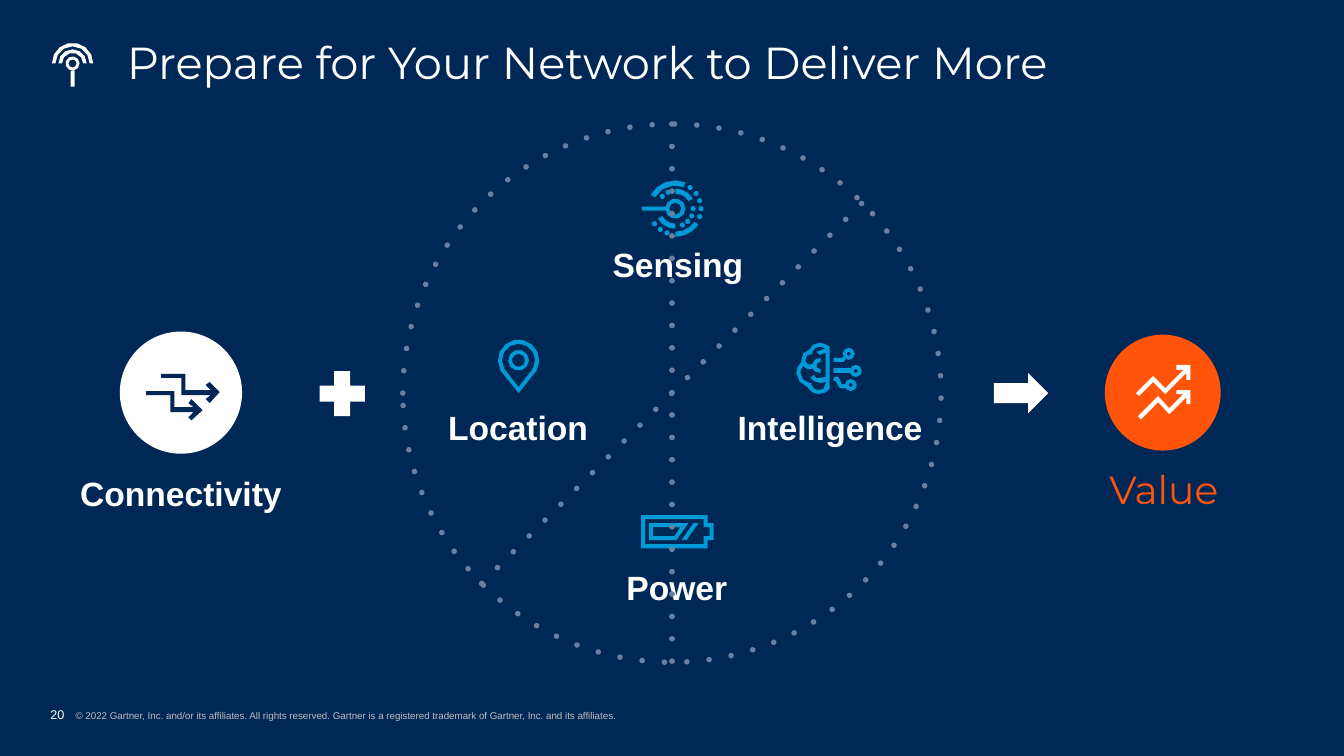
from dataclasses import dataclass
from math import cos, radians, sin

from lxml import etree
from pptx import Presentation
from pptx.dml.color import RGBColor
from pptx.enum.shapes import MSO_CONNECTOR, MSO_SHAPE
from pptx.enum.text import MSO_ANCHOR, PP_ALIGN
from pptx.oxml.ns import qn
from pptx.util import Inches, Pt

OVAL, PLUS, ARROW = MSO_SHAPE.OVAL, MSO_SHAPE.MATH_PLUS, MSO_SHAPE.RIGHT_ARROW
STRAIGHT = MSO_CONNECTOR.STRAIGHT
LEFT, CENTER = PP_ALIGN.LEFT, PP_ALIGN.CENTER
TOP, MIDDLE, BOTTOM = MSO_ANCHOR.TOP, MSO_ANCHOR.MIDDLE, MSO_ANCHOR.BOTTOM

# Grid: one cell is a tenth of an inch; icons use a tenth of a cell
CELL = Inches(0.1)
COLUMNS, ROWS = 133.33, 75


@dataclass(frozen=True)
class Theme:
    navy: str = "002856"
    white: str = "FFFFFF"
    blue: str = "009AD7"
    orange: str = "FF540A"
    dots: str = "6A80A3"
    grey: str = "BDBDBD"
    heading: str = "Montserrat"
    body: str = "Arial"
    title_size: float = 32
    value_size: float = 28
    label_size: float = 24
    number_size: float = 9
    legal_size: float = 7
    dot_width: float = 4
    rim_width: float = 4.5


THEME = Theme()


def cells(count):
    return round(count * CELL)


def rgb(colour):
    return RGBColor.from_string(colour)


# Text
def add_run(paragraph, text, size, colour, font=THEME.body, bold=False):
    run = paragraph.add_run()
    run.text = text
    run.font.size, run.font.name, run.font.bold = Pt(size), font, bold
    run.font.color.rgb = rgb(colour)


def prepare(frame, anchor, align, inset=0, wrap=True):
    frame.word_wrap, frame.vertical_anchor = wrap, anchor
    frame.margin_left = frame.margin_right = 0
    frame.margin_top = frame.margin_bottom = cells(inset)
    paragraph = frame.paragraphs[0]
    paragraph.alignment = align
    return paragraph


def add_label(slide, box, text, size=THEME.label_size, colour=THEME.white,
              font=THEME.body, bold=True):
    label = slide.shapes.add_textbox(*map(cells, box))
    paragraph = prepare(label.text_frame, TOP, CENTER, 0.5, False)
    add_run(paragraph, text, size, colour, font, bold)


def add_title(slide, text):
    title = slide.shapes.title
    title.left, title.top, title.width, title.height = map(cells, (12.6, 4, 115.7, 4.8))
    paragraph = prepare(title.text_frame, MIDDLE, LEFT)
    paragraph.line_spacing = 0.9
    add_run(paragraph, text, THEME.title_size, THEME.white, THEME.heading)


def add_footer(slide, number, legal):
    footer = slide.shapes.add_textbox(*map(cells, (5, 70.1, 78.5, 1.5)))
    paragraph = prepare(footer.text_frame, BOTTOM, LEFT)
    properties = paragraph._p.get_or_add_pPr()
    properties.set("marL", str(cells(2.5)))
    properties.set("indent", str(-cells(2.5)))
    add_run(paragraph, number, THEME.number_size, THEME.white)
    add_run(paragraph, "\t" + legal, THEME.legal_size, THEME.grey)


# Preset shapes and dotted lines
def add_solid(slide, preset, box, colour, rim=None):
    shape = slide.shapes.add_shape(preset, *map(cells, box))
    shape.shadow.inherit = False
    shape.fill.solid()
    shape.fill.fore_color.rgb = rgb(colour)
    if rim:
        shape.line.color.rgb, shape.line.width = rgb(colour), Pt(rim)
    else:
        shape.line.fill.background()
    return shape


def make_dotted(line):
    line.color.rgb, line.width = rgb(THEME.dots), Pt(THEME.dot_width)
    outline = line._get_or_add_ln()
    outline.set("cap", "rnd")
    etree.SubElement(outline, qn("a:prstDash")).set("val", "dot")


def add_divided_circle(slide, cx, cy, radius):
    slant = radius * cos(radians(45))
    for dx, dy in ((0, -radius), (-slant, slant)):
        ends = (cx + dx, cy + dy, cx - dx, cy - dy)
        divider = slide.shapes.add_connector(STRAIGHT, *map(cells, ends))
        make_dotted(divider.line)
        etree.SubElement(divider._element.spPr, qn("a:effectLst"))
    box = (cx - radius, cy - radius, 2 * radius, 2 * radius)
    circle = slide.shapes.add_shape(OVAL, *map(cells, box))
    circle.shadow.inherit = False
    circle.fill.background()
    make_dotted(circle.line)


# Icon outlines
def arc(cx, cy, radius, start=0, end=360):
    """Larger circles get more corners."""
    steps = max(3, round(abs(end - start) / 360 * (6 + 0.4 * radius)))
    angles = [radians(start + (end - start) * i / steps) for i in range(steps + 1)]
    return [(cx + radius * cos(a), cy + radius * sin(a)) for a in angles]


def ring(cx, cy, outer, inner):
    return [arc(cx, cy, outer), arc(cx, cy, inner)]


def band(cx, cy, outer, inner, start, end):
    return arc(cx, cy, outer, start, end) + arc(cx, cy, inner, end, start)


def curved(steps):
    """Pairs are straight steps; sextuples are cubic curves, cut at the middle."""
    points = [steps[0]]
    for step in steps[1:]:
        if len(step) == 6:
            knots = (points[-1], step[:2], step[2:4], step[4:])
            points.append(tuple((a + 3 * b + 3 * c + d) / 8 for a, b, c, d in zip(*knots)))
        points.append(step[-2:])
    return points


def add_icon(slide, left, top, contours, colour):
    placed = [[(cells(left + x / 10), cells(top + y / 10)) for x, y in contour]
              for contour in contours]
    builder = slide.shapes.build_freeform(*placed[0][0], scale=1.0)
    for i, contour in enumerate(placed):
        if i:
            builder.move_to(*contour[0])
        builder.add_line_segments(contour[1:], close=True)
    icon = builder.convert_to_shape()
    icon.shadow.inherit = False
    icon.fill.solid()
    icon.fill.fore_color.rgb = rgb(colour)
    icon.line.fill.background()


ANTENNA = ring(20, 21, 7, 4) + [[(18, 28), (22, 28), (22, 44), (18, 44)]] + [
    band(20, 21, outer, inner, 180, 360) for outer, inner in ((14, 10.5), (20.5, 17))]
SENSOR = (ring(33, 28, 10, 6) + [[(0, 26), (23, 26), (23, 30), (0, 30)]]
          + [band(33, 28, *sector) for sector in (
              (28, 23, 209, 291), (28, 23, 35, 90), (20, 15, 270, 330), (20, 15, 90, 150))]
          + [arc(33 + r * cos(radians(a)), 28 + r * sin(radians(a)), 2.6)
             for r, angles in ((25.5, (305, 324, 342, 0, 18, 109, 126, 144)),
                               (17.7, (223, 246, 0, 24, 46, 67))) for a in angles])
PIN = [arc(20.5, 20.5, 20.5, 150, 390) + [(20.5, 53)],
       arc(20.5, 20.5, 16.5, 150, 390) + [(20.5, 47)]] + ring(20.5, 20.5, 10.3, 6.5)
BRAIN = [
    curved([(23, 0), (18, 0, 14, 3, 13, 7), (8, 8, 5, 12, 5, 17), (5, 19),
            (2, 22, 0, 26, 0, 30), (0, 36, 5, 42, 11, 44), (13, 48, 17, 51, 22, 51),
            (26, 51, 31, 49, 33, 46), (33, 4), (31, 2, 26, 0, 23, 0)]),
    curved([(23, 12), (26, 11), (29, 10), (29, 34), (22, 39, 17, 33, 17, 32), (14, 35),
            (15, 37, 19, 40, 24, 40), (29, 39), (29, 41),
            (29, 46, 26, 47, 22, 47), (19, 47, 16, 45, 15, 42), (15, 40), (13, 40),
            (8, 39, 4, 35, 4, 30), (4, 27, 5, 25, 7, 23), (9, 25),
            (10, 26, 11, 26, 13, 26), (16, 26), (17, 28, 20, 30, 24, 30), (24, 26),
            (21, 26, 20, 25, 20, 23), (20, 21, 21, 19, 24, 19), (24, 15),
            (20, 15, 16, 18, 16, 21), (14, 22, 12, 22, 11, 21), (9, 20, 9, 17, 9, 17),
            (9, 14, 11, 11, 15, 11), (16, 11), (16, 9), (17, 6, 20, 4, 23, 4),
            (25, 4, 28, 5, 29, 6), (25, 7), (20, 9)]),
    [(37, 15), (45, 15), (47, 14), (49, 16.5), (47, 19), (37, 19)],
    [(37, 25), (53.5, 25), (53.5, 30), (37, 30)],
    [(37, 34), (42, 34), (45, 41), (48.2, 41), (49, 45), (43, 45), (39, 38), (37, 38)],
] + [loop for cx, cy in ((52, 11), (59, 28), (54, 42)) for loop in ring(cx, cy, 6, 2)]
BATTERY = [
    [(0, 0), (66, 0), (66, 8), (72, 8), (72, 25), (66, 25), (66, 33), (0, 33)],
    [(4, 4), (62, 4), (62, 12), (68, 12), (68, 21), (62, 21), (62, 29), (4, 29)],
    [(8, 8), (47, 8), (35, 25), (8, 25)], [(12, 12), (39, 12), (33, 21), (12, 21)],
    [(40, 25), (45, 25), (57, 8), (52, 8)]]
GROWTH = [
    [(40, 0), (40, 5), (47, 5), (29, 23), (17, 11), (0, 28), (3, 31), (17, 17), (29, 29),
     (50, 8), (50, 15), (54, 15), (54, 0)],
    [(40, 25), (54, 25), (54, 39), (50, 39), (50, 32), (33, 49), (22, 37), (5, 54),
     (2, 51), (22, 31), (33, 43), (47, 29), (40, 29)]]
LINKS = [
    [(45, 25), (56, 36), (45, 46), (42, 43), (47, 38), (24, 38), (24, 21), (0, 21), (0, 17),
     (28, 17), (28, 33), (47, 33), (42, 29)],
    [(63, 8), (59, 11), (64, 16), (39, 16), (39, 0), (15, 0), (15, 4), (35, 4), (35, 21),
     (64, 21), (59, 25), (63, 29), (73, 18)]]


def main():
    deck = Presentation()
    deck.slide_width, deck.slide_height = cells(COLUMNS), cells(ROWS)
    slide = deck.slides.add_slide(deck.slide_layouts[5])
    slide.background.fill.solid()
    slide.background.fill.fore_color.rgb = rgb(THEME.navy)

    # Heading and footer
    add_title(slide, "Prepare for Your Network to Deliver More")
    add_icon(slide, 5.2, 4.2, ANTENNA, THEME.white)
    add_footer(slide, "20", "© 2022 Gartner, Inc. and/or its affiliates. All rights reserved. "
               "Gartner is a registered trademark of Gartner, Inc. and its affiliates.")

    # Four capabilities inside the divided circle
    for text, box, left, top, contours in (
            ("Sensing", (60.7, 23.7, 13.1, 5), 63.7, 17.9, SENSOR),
            ("Location", (44.4, 39.9, 14, 5), 49.4, 33.7, PIN),
            ("Intelligence", (73.1, 39.9, 18.5, 5), 79, 34, BRAIN),
            ("Power", (62.1, 55.8, 10.1, 5), 63.6, 51.1, BATTERY)):
        add_icon(slide, left, top, contours, THEME.blue)
        add_label(slide, box, text)
    add_divided_circle(slide, COLUMNS / 2, 39, 26.7)

    # Connectivity plus capabilities leads to value
    add_solid(slide, OVAL, (12.2, 33.2, 11.5, 11.5), THEME.white, THEME.rim_width)
    add_icon(slide, 14.5, 37.1, LINKS, THEME.navy)
    add_label(slide, (5.9, 46.4, 24.1, 5), "Connectivity")
    plus = add_solid(slide, PLUS, (30.9, 36, 6.1, 6.1), THEME.white)
    plus.adjustments[0] = 0.26
    add_solid(slide, ARROW, (98.6, 37, 5.4, 4), THEME.white)
    add_solid(slide, OVAL, (109.6, 33.2, 11.5, 11.5), THEME.orange)
    add_icon(slide, 112.7, 36.2, GROWTH, THEME.white)
    add_label(slide, (106.4, 45.7, 18.1, 5.7), "Value", THEME.value_size,
              THEME.orange, THEME.heading, False)

    deck.save("out.pptx")


if __name__ == "__main__":
    main()
